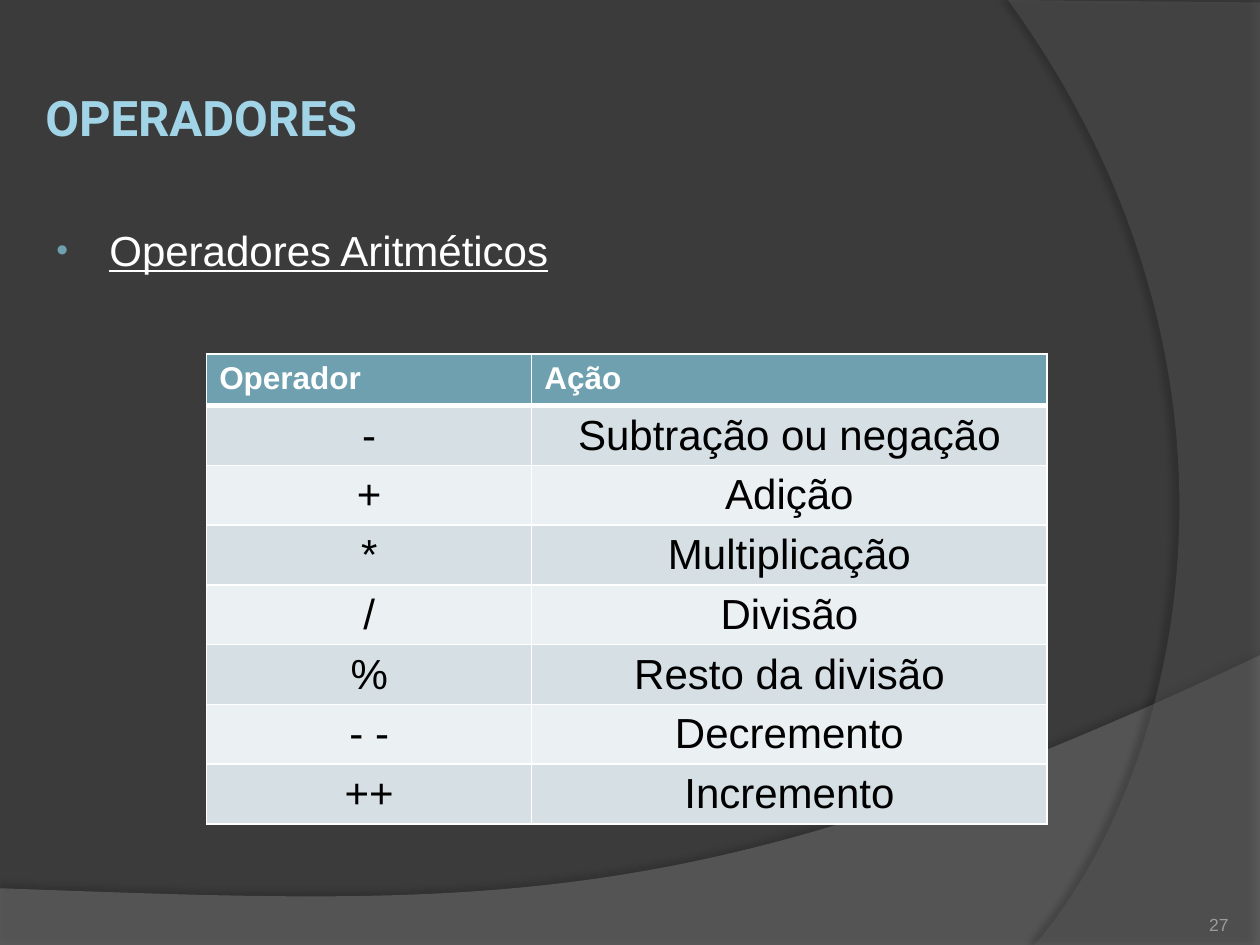
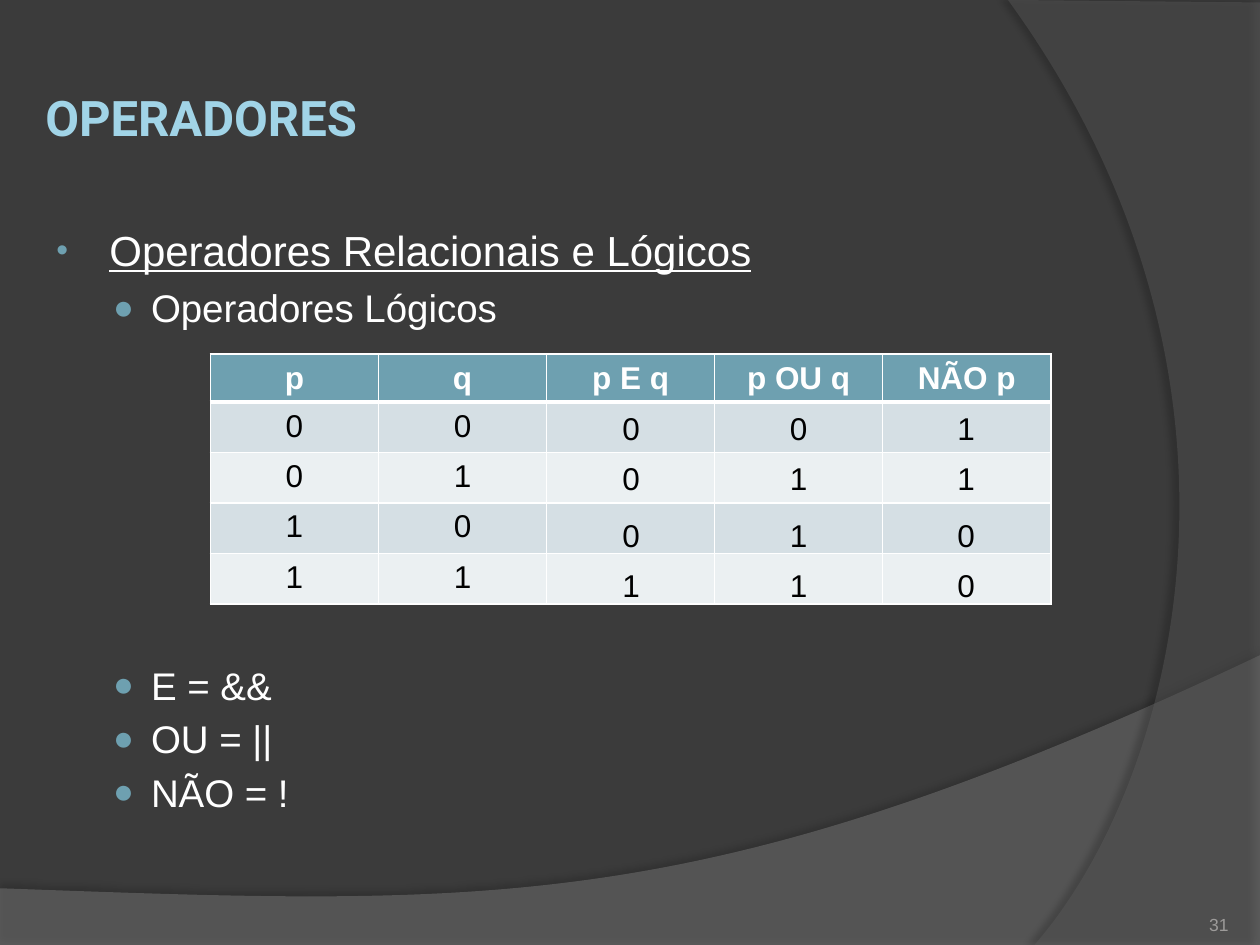
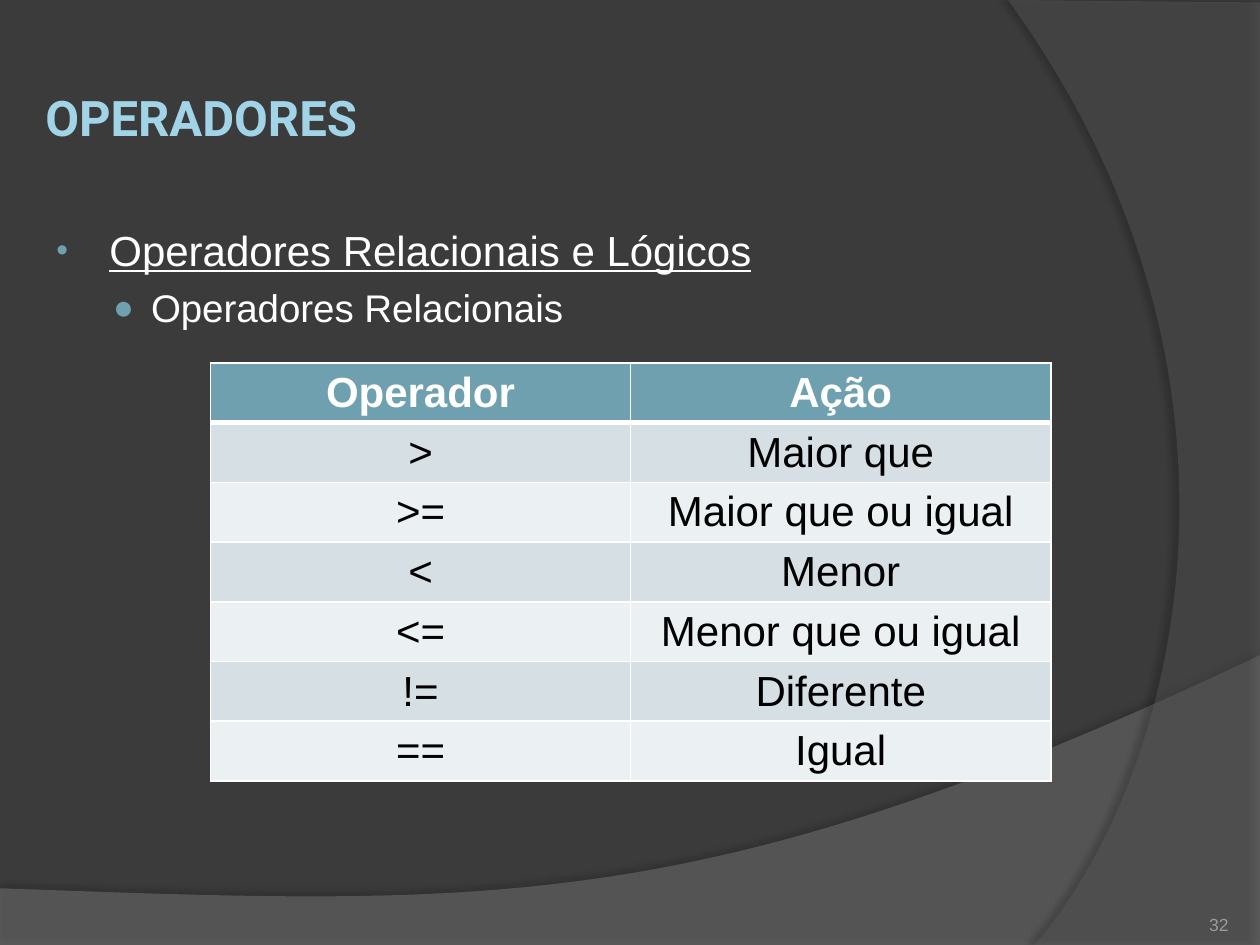
from lxml.etree import SubElement
from pptx import Presentation
from pptx.dml.color import RGBColor
from pptx.enum.text import MSO_ANCHOR as Anchor, PP_ALIGN as Align
from pptx.oxml.ns import qn
from pptx.util import Inches, Pt

COLORS = {
    "background": "3B3B3B",
    "wave": "7F7F7F",
    "arc": "5E5E5E",
    "shadow": "000000",
    "title": "A1D4E7",
    "accent": "6EA0B0",
    "light": "FFFFFF",
    "dark": "000000",
    "odd_row": "D5DFE4",
    "even_row": "EBF0F2",
    "number": "9D9B9A",
}
BODY_FONT = "Arial"
LINE_HEIGHT = 1.12
TITLE_FORMAT = {"name": "Roboto", "size": Pt(28), "bold": True, "color": "title"}
TOPIC_FORMAT = {"name": BODY_FONT, "size": Pt(24), "underline": True, "color": "light"}
POINT_FORMAT = {"name": BODY_FONT, "size": Pt(22), "color": "light"}
DIGIT_FORMAT = {"name": BODY_FONT, "size": Pt(18), "color": "dark"}
NUMBER_FORMAT = {"name": BODY_FONT, "size": Pt(10), "color": "number"}
TOPIC_BULLET = {"char": "•", "size": 80, "left": 0.46, "indent": -0.42}
POINT_BULLET = {"char": "●", "size": 90, "left": 0.79, "indent": -0.3}
FIRST_GAP = 7
POINT_GAP = 6

ARITHMETIC = [
    ["Operador", "Ação"],
    ["-", "Subtração ou negação"],
    ["+", "Adição"],
    ["*", "Multiplicação"],
    ["/", "Divisão"],
    ["%", "Resto da divisão"],
    ["- -", "Decremento"],
    ["++", "Incremento"],
]
TRUTH_INPUTS = [
    ["p", "q", "p E q", "p OU q", "NÃO p"],
    ["0", "0", "", "", ""],
    ["0", "1", "", "", ""],
    ["1", "0", "", "", ""],
    ["1", "1", "", "", ""],
]
TRUTH_RESULTS = ["001", "011", "010", "110"]
RELATIONAL = [
    ["Operador", "Ação"],
    [">", "Maior que"],
    [">=", "Maior que ou igual"],
    ["<", "Menor"],
    ["<=", "Menor que ou igual"],
    ["!=", "Diferente"],
    ["==", "Igual"],
]


def rgb(name):
    return RGBColor.from_string(COLORS[name])


def write(paragraph, text, formats, align=Align.LEFT):
    paragraph.alignment = align
    run = paragraph.add_run()
    run.text = text
    for key, value in formats.items():
        if key == "color":
            run.font.color.rgb = rgb(value)
        else:
            setattr(run.font, key, value)


def write_line(paragraph, text, formats, align=Align.LEFT):
    paragraph.line_spacing = Pt(round(formats["size"].pt * LINE_HEIGHT, 1))
    write(paragraph, text, formats, align)


def set_frame(frame, anchor, inset):
    formats = {"word_wrap": True, "vertical_anchor": anchor}
    for side in ("left", "top", "right", "bottom"):
        formats[f"margin_{side}"] = Inches(inset)
    for key, value in formats.items():
        setattr(frame, key, value)


def add_color(parent, name, alpha=None):
    color = SubElement(parent, qn("a:srgbClr"), val=COLORS[name])
    if alpha is not None:
        SubElement(color, qn("a:alpha"), val=str(alpha * 1000))


def bend_last_segment(shape, controls):
    segment = list(shape.element.iter(qn("a:lnTo")))[-1]
    curve = SubElement(segment.getparent(), qn("a:cubicBezTo"))
    segment.addnext(curve)
    for x, y in controls:
        local = {"x": Inches(x) - shape.left, "y": Inches(y) - shape.top}
        SubElement(curve, qn("a:pt"), {key: str(value) for key, value in local.items()})
    curve.append(segment[0])
    segment.getparent().remove(segment)


def add_band(slide, layout, position, points, controls, color, alpha, shadow):
    corners = [(Inches(x), Inches(y)) for x, y in points]
    builder = slide.shapes.build_freeform(*corners[0])
    builder.add_line_segments(corners[1:], close=True)
    band = builder.convert_to_shape()
    bend_last_segment(band, controls)
    band.line.fill.background()
    band.fill.solid()
    band.fill.fore_color.rgb = rgb(color)
    properties = band.element.spPr
    fill_color = properties.find(qn("a:solidFill")).find(qn("a:srgbClr"))
    SubElement(fill_color, qn("a:alpha"), val=str(alpha * 1000))
    band.shadow.inherit = False
    outer = SubElement(
        properties.find(qn("a:effectLst")), qn("a:outerShdw"),
        blurRad=str(Pt(4)), dist=str(Pt(shadow["distance"])),
        dir=str(shadow["angle"] * 60000), algn="ctr", rotWithShape="0",
    )
    add_color(outer, "shadow", shadow["alpha"])
    band.element.nvSpPr.cNvPr.set("id", str(100 + position))
    layout.shapes.element.insert(2 + position, band.element)


def decorate_layout(slide, layout):
    wave = [(0, 7.05), (0, 7.51), (10, 7.51), (10, 5.2), (0, 7.05)]
    wave_shadow = {"alpha": 35, "distance": 3.5, "angle": 270}
    add_band(slide, layout, 0, wave, [(5.59, 7.29), (3.91, 7.19)], "wave", 45, wave_shadow)
    arc = [(10, 0.02), (10, 7.5), (8.21, 7.5), (8, 0)]
    arc_shadow = {"alpha": 45, "distance": 4, "angle": 180}
    add_band(slide, layout, 1, arc, [(9.35, 6.19), (10.18, 3)], "arc", 40, arc_shadow)


def set_default_font(presentation):
    for part in (presentation, presentation.slide_master):
        for latin in part.element.iter(qn("a:latin")):
            latin.set("typeface", BODY_FONT)


def add_textbox(slide, left, top, width, height, anchor=Anchor.TOP, inset=0.0):
    box = slide.shapes.add_textbox(Inches(left), Inches(top), Inches(width), Inches(height))
    set_frame(box.text_frame, anchor, inset)
    return box.text_frame


def add_slide(presentation, layout, number):
    slide = presentation.slides.add_slide(layout)
    title = slide.shapes.title
    place = {"left": 0.31, "top": 0.3, "width": 9.38, "height": 1.25}
    for key, value in place.items():
        setattr(title, key, Inches(value))
    set_frame(title.text_frame, Anchor.MIDDLE, 0.05)
    write(title.text_frame.paragraphs[0], "OPERADORES", TITLE_FORMAT)
    frame = add_textbox(slide, 8.92, 7.02, 0.83, 0.4, Anchor.BOTTOM)
    write(frame.paragraphs[0], str(number), NUMBER_FORMAT, Align.RIGHT)
    return slide


def set_bullet(paragraph, bullet):
    properties = paragraph._p.get_or_add_pPr()
    properties.set("marL", str(Inches(bullet["left"])))
    properties.set("indent", str(Inches(bullet["indent"])))
    add_color(SubElement(properties, qn("a:buClr")), "accent")
    SubElement(properties, qn("a:buSzPct"), val=str(bullet["size"] * 1000))
    SubElement(properties, qn("a:buFont"), typeface=BODY_FONT)
    SubElement(properties, qn("a:buChar"), char=bullet["char"])


def add_body(slide, topic, points=()):
    frame = add_textbox(slide, 0.31, 1.75, 9.38, 4.95, inset=0.1)
    frame.margin_top = Inches(0.06)
    set_bullet(frame.paragraphs[0], TOPIC_BULLET)
    write_line(frame.paragraphs[0], topic, TOPIC_FORMAT)
    for text, gap in points:
        paragraph = frame.add_paragraph()
        set_bullet(paragraph, POINT_BULLET)
        paragraph.space_before = Pt(gap)
        write_line(paragraph, text, POINT_FORMAT)


def set_borders(cell, row):
    properties = cell._tc.get_or_add_tcPr()
    widths = {"L": 1, "R": 1, "T": 3 if row == 1 else 1, "B": 3 if row == 0 else 1}
    for side, width in widths.items():
        line = SubElement(properties, qn(f"a:ln{side}"), w=str(Pt(width)))
        add_color(SubElement(line, qn("a:solidFill")), "light")


def add_grid(slide, left, top, widths, heights, rows, sizes, header_align=Align.CENTER):
    header_height, row_height = heights
    row_heights = [header_height] + [row_height] * (len(rows) - 1)
    table = slide.shapes.add_table(
        len(rows), len(widths), Inches(left), Inches(top),
        Inches(sum(widths)), Inches(sum(row_heights)),
    ).table
    for column, width in zip(table.columns, widths):
        column.width = Inches(width)
    for row, texts in enumerate(rows):
        table.rows[row].height = Inches(row_heights[row])
        header = row == 0
        formats = {
            "name": BODY_FONT,
            "size": Pt(sizes[0] if header else sizes[1]),
            "bold": header,
            "color": "light" if header else "dark",
        }
        fill = "accent" if header else "odd_row" if row % 2 else "even_row"
        for column, text in enumerate(texts):
            cell = table.cell(row, column)
            set_borders(cell, row)
            cell.fill.solid()
            cell.fill.fore_color.rgb = rgb(fill)
            if text:
                align = header_align if header else Align.CENTER
                write_line(cell.text_frame.paragraphs[0], text, formats, align)


def add_truth_results(slide):
    for top, digits in zip((3.2, 3.59, 4.05, 4.44), TRUTH_RESULTS):
        for column, digit in enumerate(digits):
            frame = add_textbox(slide, 4.84 + 1.33 * column, top, 0.39, 0.4)
            frame.margin_left = Inches(0.1)
            frame.margin_top = Inches(0.05)
            write(frame.paragraphs[0], digit, DIGIT_FORMAT)


def main():
    presentation = Presentation()
    presentation.slide_width = Inches(10)
    presentation.slide_height = Inches(7.5)
    set_default_font(presentation)
    background = presentation.slide_master.background.fill
    background.solid()
    background.fore_color.rgb = rgb("background")
    layout = presentation.slide_layouts[5]

    slide = add_slide(presentation, layout, 27)
    decorate_layout(slide, layout)
    add_body(slide, "Operadores Aritméticos")
    add_grid(slide, 1.64, 2.81, [2.58, 4.09], (0.41, 0.47), ARITHMETIC, (18, 24), Align.LEFT)

    slide = add_slide(presentation, layout, 31)
    add_body(slide, "Operadores Relacionais e Lógicos", [
        ("Operadores Lógicos", FIRST_GAP),
        ("E = &&", 191),
        ("OU = ||", POINT_GAP),
        ("NÃO = !", POINT_GAP),
    ])
    add_grid(slide, 1.67, 2.81, [6.67 / 5] * 5, (0.38, 0.4), TRUTH_INPUTS, (18, 18))
    add_truth_results(slide)

    slide = add_slide(presentation, layout, 32)
    add_body(slide, "Operadores Relacionais e Lógicos", [("Operadores Relacionais", FIRST_GAP)])
    add_grid(slide, 1.67, 2.88, [6.67 / 2] * 2, (0.47, 0.47), RELATIONAL, (24, 24))

    presentation.save("out.pptx")


if __name__ == "__main__":
    main()
